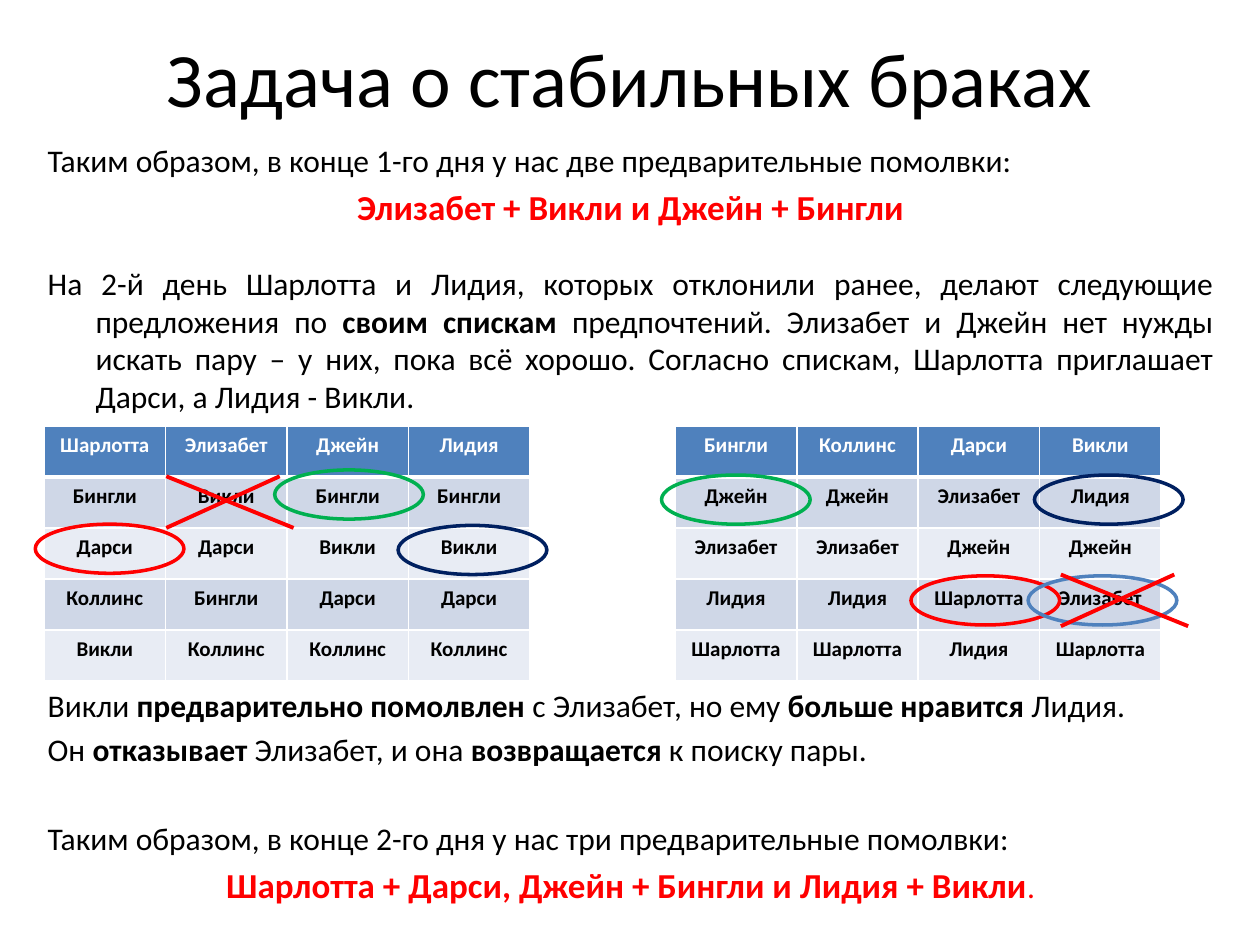
from lxml import etree
from pptx import Presentation
from pptx import util as u
from pptx.dml.color import RGBColor
from pptx.enum import shapes, text
from pptx.oxml import ns

BLACK = RGBColor(0x00, 0x00, 0x00)
WHITE = RGBColor(0xFF, 0xFF, 0xFF)
RED = RGBColor(0xFF, 0x00, 0x00)
GREEN = RGBColor(0x00, 0xB0, 0x50)
NAVY = RGBColor(0x00, 0x20, 0x60)
BLUE = RGBColor(0x4F, 0x81, 0xBD)
BAND_DARK = RGBColor(0xCF, 0xD7, 0xE7)
BAND_LIGHT = RGBColor(0xE8, 0xEC, 0xF4)
FONT = "Calibri"
CENTER, JUSTIFY = text.PP_ALIGN.CENTER, text.PP_ALIGN.JUSTIFY

deck = Presentation()
deck.slide_width, deck.slide_height = u.Inches(10), u.Inches(7.5)
page = deck.slides.add_slide(deck.slide_layouts[6])
UNIT = deck.slide_width // 100  # the page is a grid of 100 columns by 75 rows


def grid(*cells):
    """Turn counts of grid cells into slide lengths."""
    return [u.Emu(round(cell * UNIT)) for cell in cells]


def add_span(para, words, size, color, bold=False):
    span = para.add_run()
    span.text = words
    span.font.color.rgb = color
    for name, value in {"name": FONT, "size": u.Pt(size), "bold": bold}.items():
        setattr(span.font, name, value)


# Title
title = page.shapes.add_textbox(*grid(5, 3, 90, 6.1)).text_frame
title.word_wrap = True
title.vertical_anchor = text.MSO_ANCHOR.MIDDLE
title.paragraphs[0].alignment = CENTER
add_span(title.paragraphs[0], "Задача о стабильных браках", 44, BLACK)

# Body: asterisks enclose bold words; space before leaves room for the tables
BODY = [
    ("Таким образом, в конце 1-го дня у нас две предварительные помолвки:", 0, JUSTIFY),
    ("*Элизабет + Викли и Джейн + Бингли*", 4, CENTER),
    ("На 2-й день Шарлотта и Лидия, которых отклонили ранее, делают следующие "
     "предложения по *своим спискам *предпочтений. Элизабет и Джейн нет нужды искать "
     "пару – у них, пока всё хорошо. Согласно спискам, Шарлотта приглашает Дарси, "
     "а Лидия - Викли.", 20.6, JUSTIFY),
    ("Викли *предварительно помолвлен *с Элизабет, но ему *больше нравится *Лидия.",
     155, JUSTIFY),
    ("Он *отказывает* Элизабет, и она *возвращается* к поиску пары.", 3.6, JUSTIFY),
    ("Таким образом, в конце 2-го дня у нас три предварительные помолвки:", 28.8, JUSTIFY),
    ("*Шарлотта + Дарси, Джейн + Бингли и Лидия + Викли*.", 4, CENTER),
]
body = page.shapes.add_textbox(*grid(2.8, 10.7, 94.5, 63)).text_frame
body.word_wrap = True
for index, (words, gap, align) in enumerate(BODY):
    para = body.add_paragraph() if index else body.paragraphs[0]
    para.alignment, para.space_before = align, u.Pt(gap)
    indent = grid(3.8)[0]
    props = para._p.get_or_add_pPr()
    props.set("marL", str(indent))
    props.set("indent", str(-indent))
    result = align == CENTER
    for part, piece in enumerate(words.split("*")):
        bold = part % 2 == 1
        if piece:
            add_span(para, piece, 20 if result and bold else 18,
                     RED if result else BLACK, bold)

# Preference lists, one person per column
COLUMN, ROW, TABLE_TOP = 9.64, 4.05, 33.8
WOMEN = [
    "Шарлотта Элизабет Джейн Лидия",
    "Бингли Викли Бингли Бингли",
    "Дарси Дарси Викли Викли",
    "Коллинс Бингли Дарси Дарси",
    "Викли Коллинс Коллинс Коллинс",
]
MEN = [
    "Бингли Коллинс Дарси Викли",
    "Джейн Джейн Элизабет Лидия",
    "Элизабет Элизабет Джейн Джейн",
    "Лидия Лидия Шарлотта Элизабет",
    "Шарлотта Шарлотта Лидия Шарлотта",
]
for left, lists in ((3.5, WOMEN), (53.6, MEN)):
    table = page.shapes.add_table(
        5, 4, *grid(left, TABLE_TOP, 4 * COLUMN, 5 * ROW)).table
    for column in table.columns:
        column.width = grid(COLUMN)[0]
    for r, names in enumerate(lists):
        table.rows[r].height = grid(ROW)[0]
        for c, person in enumerate(names.split()):
            cell = table.cell(r, c)
            para = cell.text_frame.paragraphs[0]
            para.alignment = CENTER
            add_span(para, person, 12, BLACK if r else WHITE, True)
            props = cell._tc.get_or_add_tcPr()
            for side in "LRTB":
                thick = (r, side) in ((0, "B"), (1, "T"))
                border = etree.SubElement(props, ns.qn(f"a:ln{side}"),
                                          w=str(u.Pt(3 if thick else 1)))
                paint = etree.SubElement(border, ns.qn("a:solidFill"))
                etree.SubElement(paint, ns.qn("a:srgbClr"), val=str(WHITE))
            cell.fill.solid()
            cell.fill.fore_color.rgb = (
                BLUE if r == 0 else BAND_DARK if r % 2 else BAND_LIGHT)

# Rings around proposals
RINGS = [
    (2.8, 41.6, RED), (31.6, 41.7, NAVY), (21.8, 37.3, GREEN), (72.3, 45.7, RED),
    (52.5, 37.7, GREEN), (82.1, 37.7, NAVY), (81.6, 45.7, BLUE),
]
for left, top, color in RINGS:
    ring = page.shapes.add_shape(
        shapes.MSO_SHAPE.OVAL, *grid(left, top, 11.8, 3.9))
    ring.shadow.inherit = False
    ring.fill.background()
    ring.line.color.rgb, ring.line.width = color, u.Pt(2)

# Crosses over the broken engagement
for left, top in ((84.2, 45.6), (13.2, 37.8)):
    bottom = top + 4.1
    for ends in ((left, top, left + 10.1, bottom), (left, bottom, left + 9, top)):
        stroke = page.shapes.add_connector(shapes.MSO_CONNECTOR.STRAIGHT, *grid(*ends))
        stroke.line.color.rgb, stroke.line.width = RED, u.Pt(2.25)
        etree.SubElement(stroke._element.spPr, ns.qn("a:effectLst"))

deck.save("out.pptx")
